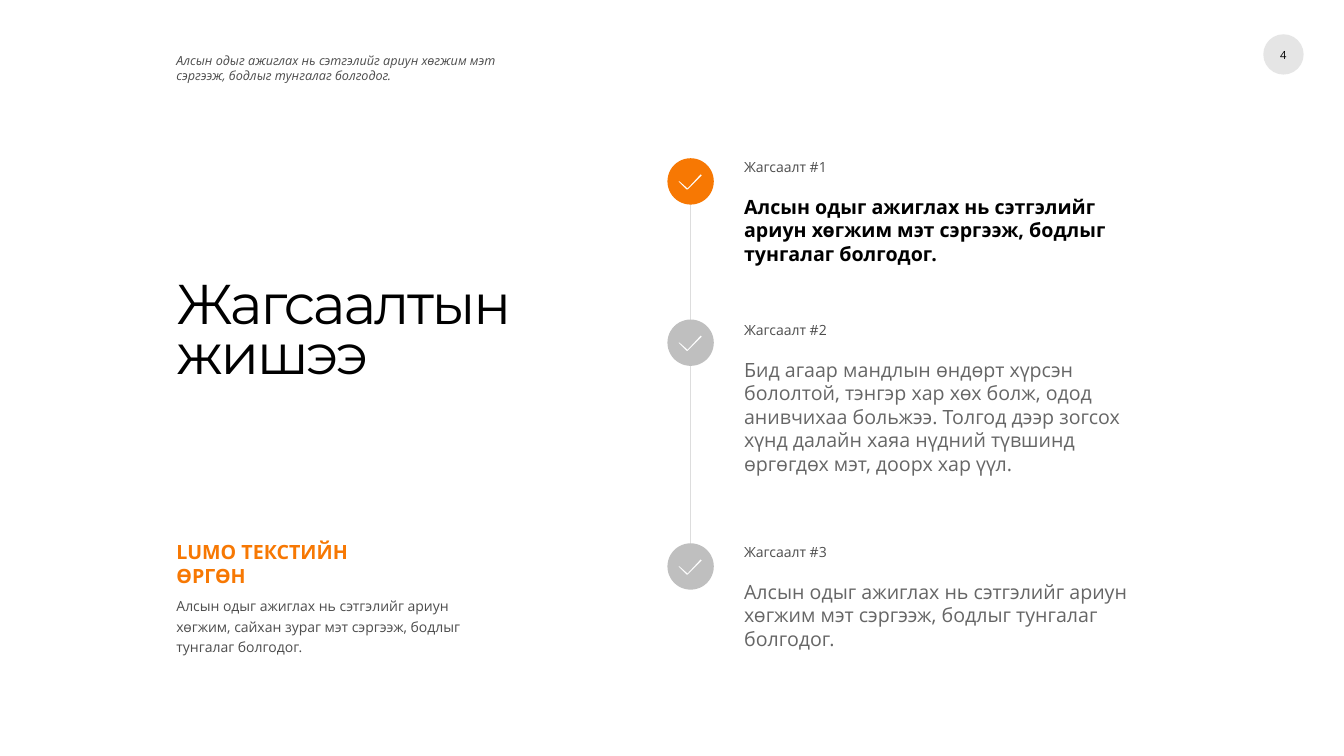
from lxml.etree import SubElement
from pptx import Presentation
from pptx.dml.color import RGBColor
from pptx.enum.shapes import MSO_CONNECTOR, MSO_SHAPE
from pptx.enum.text import MSO_ANCHOR, MSO_AUTO_SIZE, PP_ALIGN
from pptx.oxml.ns import qn
from pptx.util import Inches, Pt

COLORS = {
    "black": "000000",
    "white": "FFFFFF",
    "orange": "F77803",
    "grey": "BFBFBF",
    "badge": "E5E5E5",
    "line": "DDDDDD",
    "label": "4D4D4D",
    "body": "666666",
}
SENTENCE = "Алсын одыг ажиглах нь сэтгэлийг ариун хөгжим мэт сэргээж, бодлыг тунгалаг болгодог."
MARKER_LEFT = 6.62
MARKER_SIZE = 0.46
CHECK = [(0.34, 0.17), (0.33, 0.16), (0.2, 0.3), (0.12, 0.23), (0.11, 0.23), (0.19, 0.31), (0.2, 0.31)]


def write_text(shape, text, size, color, name="Open Sans", margins=(0.05, 0.05),
               anchor=MSO_ANCHOR.TOP, align=PP_ALIGN.LEFT, spacing=1.0, **styles):
    frame = shape.text_frame
    frame.text = text
    frame_format = {
        "word_wrap": True,
        "auto_size": MSO_AUTO_SIZE.NONE,
        "vertical_anchor": anchor,
        "margin_left": 0,
        "margin_right": 0,
        "margin_top": Inches(margins[0]),
        "margin_bottom": Inches(margins[1]),
    }
    for key, value in frame_format.items():
        setattr(frame, key, value)
    paragraph = frame.paragraphs[0]
    paragraph.alignment = align
    paragraph.line_spacing = spacing
    for run in paragraph.runs:
        for key, value in {"name": name, "size": Pt(size), **styles}.items():
            setattr(run.font, key, value)
        run.font.color.rgb = RGBColor.from_string(COLORS[color])


def fill_shape(shape, color):
    shape.shadow.inherit = False
    shape.fill.solid()
    shape.fill.fore_color.rgb = RGBColor.from_string(COLORS[color])
    shape.line.fill.background()


presentation = Presentation()
presentation.slide_width = Inches(13.33)
presentation.slide_height = Inches(7.5)
slide = presentation.slides.add_slide(presentation.slide_layouts[5])
shapes = slide.shapes

title = shapes.title
for key, value in {"left": 1.75, "top": 2.61, "width": 4.58, "height": 1.95}.items():
    setattr(title, key, Inches(value))
write_text(title, "Жагсаалтын\vжишээ", 40, "black", "Montserrat", margins=(0.21, 0), spacing=0.75)
for run in title.text_frame.paragraphs[0].runs:
    run.font._element.set("spc", "-150")

badge = shapes.add_shape(MSO_SHAPE.OVAL, Inches(12.53), Inches(0.34), Inches(0.4), Inches(0.4))
fill_shape(badge, "badge")
page_number = shapes.add_textbox(Inches(12.45), Inches(0.42), Inches(0.56), Inches(0.25))
write_text(page_number, "4", 8, "black", margins=(0, 0), anchor=MSO_ANCHOR.MIDDLE, align=PP_ALIGN.CENTER)

tagline = shapes.add_textbox(Inches(1.75), Inches(0.52), Inches(3.29), Inches(1))
write_text(tagline, SENTENCE, 9, "label", margins=(0, 0), italic=True)

timeline = shapes.add_connector(MSO_CONNECTOR.STRAIGHT, Inches(6.85), Inches(1.81), Inches(6.85), Inches(5.61))
timeline.line.width = Pt(0.5)
timeline.line.color.rgb = RGBColor.from_string(COLORS["line"])
SubElement(timeline._element.spPr, qn("a:effectLst"))

items = [
    (1.57, 1.52, 0.81, "orange", "black", True, SENTENCE),
    (3.17, 3.14, 1.51, "grey", "body", False,
     "Бид агаар мандлын өндөрт хүрсэн бололтой, тэнгэр хар хөх болж, одод анивчихаа больжээ. "
     "Толгод дээр зогсох хүнд далайн хаяа нүдний түвшинд өргөгдөх мэт, доорх хар үүл."),
    (5.39, 5.34, 0.81, "grey", "body", False, SENTENCE),
]
for number, (marker_top, label_top, body_height, marker_color, body_color, bold, text) in enumerate(items, 1):
    marker = shapes.add_shape(MSO_SHAPE.OVAL, Inches(MARKER_LEFT), Inches(marker_top),
                              Inches(MARKER_SIZE), Inches(MARKER_SIZE))
    fill_shape(marker, marker_color)
    points = [(Inches(MARKER_LEFT + x), Inches(marker_top + y)) for x, y in CHECK]
    builder = shapes.build_freeform(*points[0])
    builder.add_line_segments(points[1:], close=True)
    fill_shape(builder.convert_to_shape(), "white")

    label = shapes.add_textbox(Inches(7.38), Inches(label_top), Inches(1.01), Inches(0.27))
    write_text(label, f"Жагсаалт #{number}", 10, "label")
    body = shapes.add_textbox(Inches(7.38), Inches(label_top + 0.36), Inches(4.11), Inches(body_height))
    write_text(body, text, 14, body_color, bold=bold)

note = shapes.add_textbox(Inches(1.75), Inches(5.85), Inches(3.15), Inches(0.71))
write_text(note, "Алсын одыг ажиглах нь сэтгэлийг ариун хөгжим, сайхан зураг мэт сэргээж, "
           "бодлыг тунгалаг болгодог.", 10, "label", spacing=1.2)
note_heading = shapes.add_textbox(Inches(1.75), Inches(5.31), Inches(2.1), Inches(0.57))
write_text(note_heading, "LUMO ТЕКСТИЙН\vӨРГӨН", 14, "orange", bold=True)

presentation.save("out.pptx")
